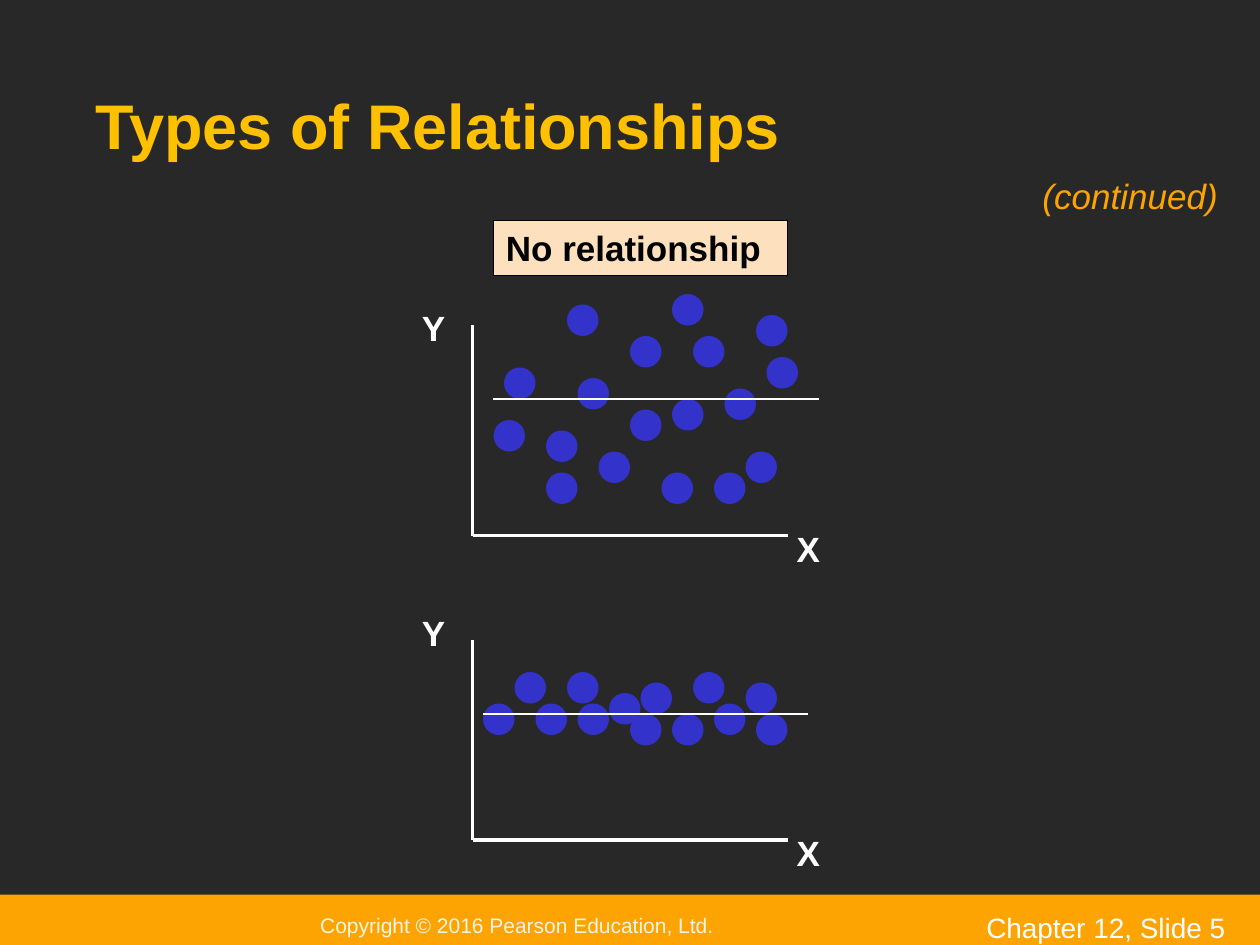
from lxml import etree
from pptx import Presentation
from pptx.dml.color import RGBColor
from pptx.enum.shapes import MSO_CONNECTOR, MSO_SHAPE
from pptx.enum.text import MSO_ANCHOR, PP_ALIGN
from pptx.oxml.ns import qn
from pptx.util import Inches, Pt

STRAIGHT = MSO_CONNECTOR.STRAIGHT
OVAL, RECTANGLE = MSO_SHAPE.OVAL, MSO_SHAPE.RECTANGLE
BOTTOM, MIDDLE, TOP = MSO_ANCHOR.BOTTOM, MSO_ANCHOR.MIDDLE, MSO_ANCHOR.TOP
LEFT = PP_ALIGN.LEFT
color = RGBColor.from_string

presentation = Presentation()
presentation.slide_width = Inches(10)
presentation.slide_height = Inches(7.5)
slide = presentation.slides.add_slide(presentation.slide_layouts[5])
slide.background.fill.solid()
slide.background.fill.fore_color.rgb = color("282828")

COLUMN = presentation.slide_width // 120
ROW = presentation.slide_height // 90


def place(shape, column, row, columns, rows):
    shape.left, shape.top = int(column * COLUMN), int(row * ROW)
    shape.width, shape.height = int(columns * COLUMN), int(rows * ROW)


def write(shape, text, size, hex_color, bold=False, italic=False, anchor=TOP):
    frame = shape.text_frame
    frame.text = text
    frame.word_wrap = True
    frame.vertical_anchor = anchor
    frame.margin_left = frame.margin_right = Inches(0.1)
    frame.margin_top = frame.margin_bottom = Inches(0.05)
    paragraph = frame.paragraphs[0]
    paragraph.alignment = LEFT
    font = paragraph.runs[0].font
    font.name, font.size = "Arial", Pt(size)
    font.bold, font.italic = bold, italic
    font.color.rgb = color(hex_color)


title = slide.shapes.title
place(title, 7.9, 3, 104, 13)
write(title, "Types of Relationships", 36, "FFC000", bold=True, anchor=BOTTOM)

footer = slide.shapes.add_shape(RECTANGLE, 0, 0, 0, 0)
place(footer, 0, 85.2, 120, 5.9)
footer.shadow.inherit = False
footer.fill.solid()
footer.fill.fore_color.rgb = color("FEA402")
footer.line.fill.background()
write(footer, "Copyright © 2016 Pearson Education, Ltd.", 12, "F3F5E7", anchor=MIDDLE)
footer.text_frame.margin_left = int(30.5 * COLUMN)

heading = slide.shapes.add_shape(RECTANGLE, 0, 0, 0, 0)
place(heading, 47, 21, 28, 5.25)
heading.shadow.inherit = False
heading.fill.solid()
heading.fill.fore_color.rgb = color("FDE0BD")
heading.line.color.rgb = color("000000")
heading.line.width = Pt(1)
write(heading, "No relationship", 20, "000000", bold=True)

scattered_dots = [
    (64, 28), (47, 40), (71, 43), (73, 34), (52, 45), (54, 29), (64, 38), (66, 32), (72, 30),
    (60, 32), (52, 41), (55, 36), (68, 45), (60, 39), (57, 43), (48, 35), (63, 45), (69, 37),
]
level_dots = [
    (72, 68), (51, 67), (71, 65), (54, 64), (66, 64), (68, 67), (58, 66),
    (46, 67), (49, 64), (55, 67), (64, 68), (61, 65), (60, 68),
]
AXIS_LEFT, AXIS_RIGHT, DOT = 45, 75, 3
plots = [
    (scattered_dots, 31, 51, 28.6, 47, 38),
    (level_dots, 61, 80, 57.6, 46, 68),
]
labels = [
    ("Chapter 12, Slide 5", 92.75, 86.1, 27, 3.1, 16, "FFFFFF", False, False),
    ("(continued)", 98.1, 16, 21, 5.25, 20, "FEA402", False, True),
]

for dots, axis_top, axis_base, y_label_row, trend_left, trend_row in plots:
    for column, row in dots:
        dot = slide.shapes.add_shape(OVAL, 0, 0, 0, 0)
        place(dot, column, row, DOT, DOT)
        dot.shadow.inherit = False
        dot.fill.solid()
        dot.fill.fore_color.rgb = color("3333CC")
        dot.line.fill.background()

    lines = [
        (AXIS_LEFT, axis_top, AXIS_LEFT, axis_base, 2),
        (AXIS_LEFT, axis_base, AXIS_RIGHT, axis_base, 2),
        (trend_left, trend_row, trend_left + 31, trend_row, 1.5),
    ]
    for start_column, start_row, end_column, end_row, width in lines:
        line = slide.shapes.add_connector(
            STRAIGHT, start_column * COLUMN, start_row * ROW, end_column * COLUMN, end_row * ROW
        )
        line.line.color.rgb = color("FFFFFF")
        line.line.width = Pt(width)
        etree.SubElement(line._element.spPr, qn("a:effectLst"))

    labels.append(("Y", AXIS_LEFT - 6, y_label_row, 4.8, 5.25, 20, "FFFFFF", True, False))
    labels.append(("X", AXIS_RIGHT - 0.3, axis_base - 1.4, 4.8, 5.25, 20, "FFFFFF", True, False))

for text, column, row, columns, rows, size, hex_color, bold, italic in labels:
    label = slide.shapes.add_textbox(0, 0, 0, 0)
    place(label, column, row, columns, rows)
    write(label, text, size, hex_color, bold, italic)

presentation.save("out.pptx")
